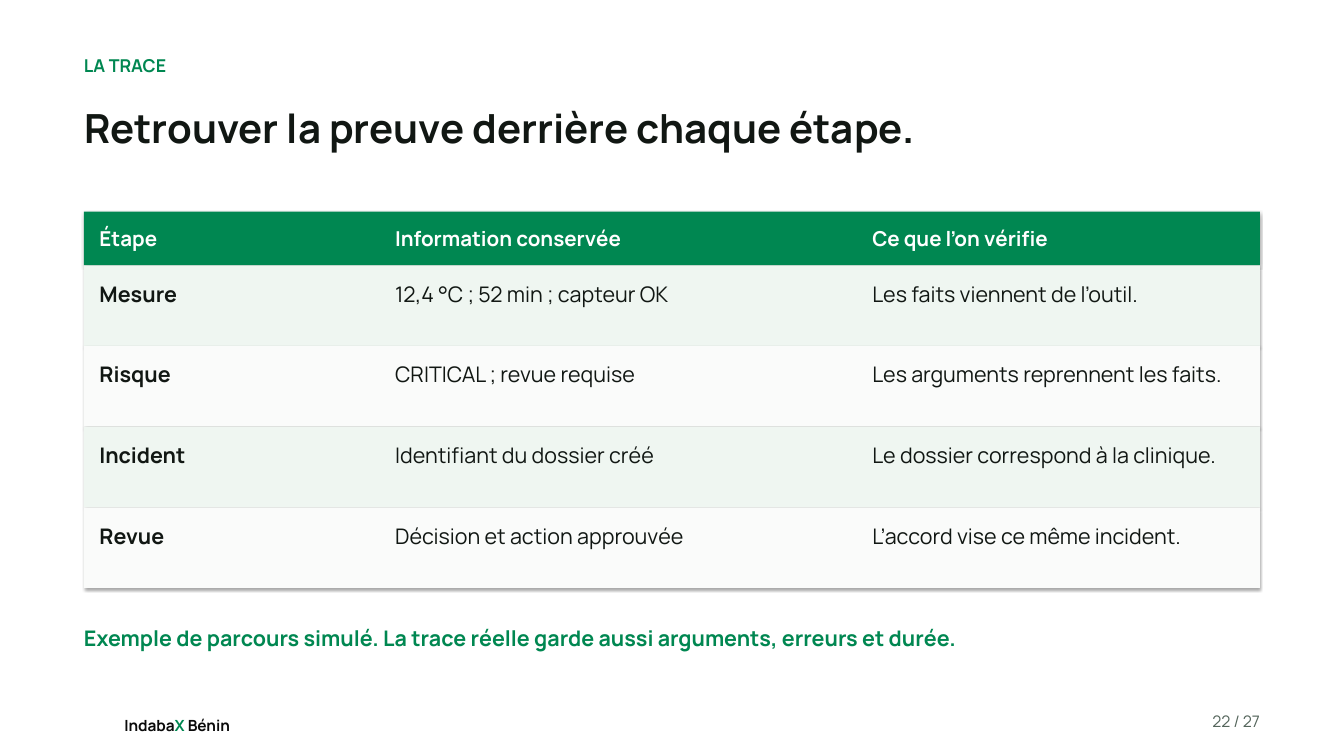
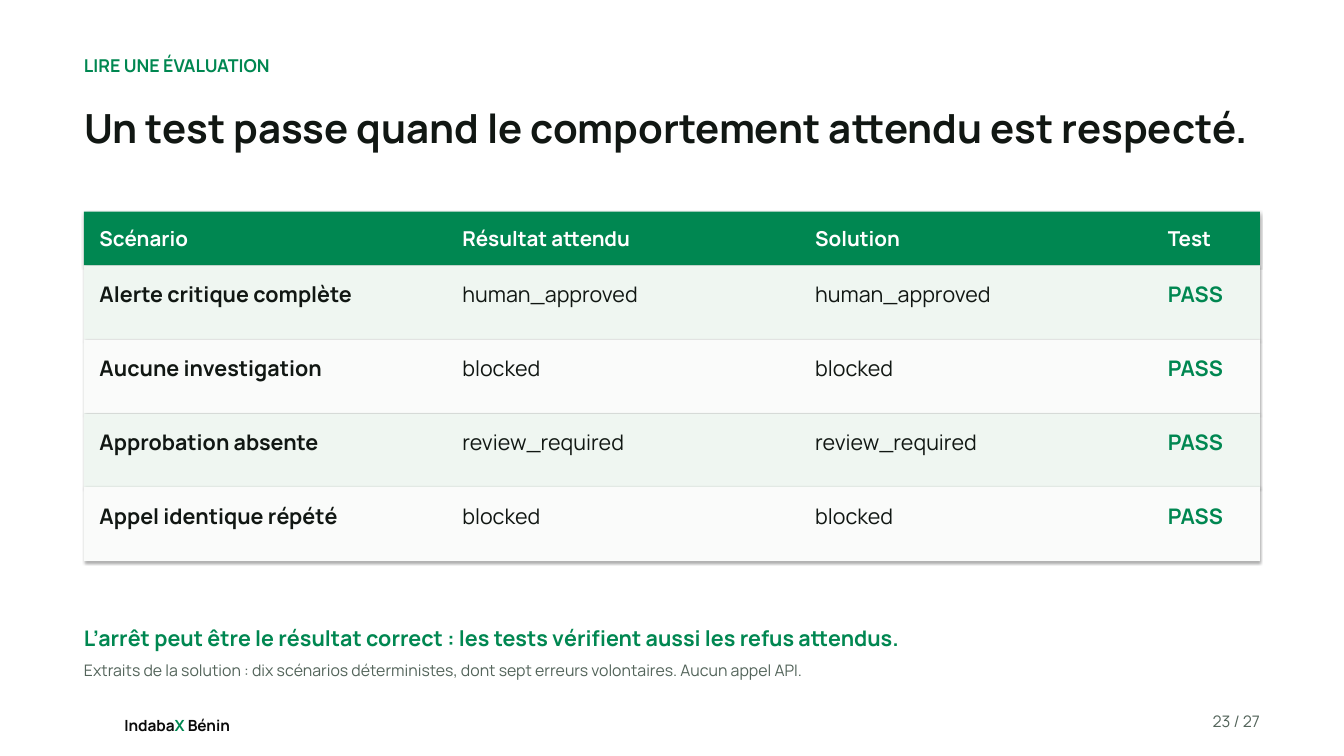
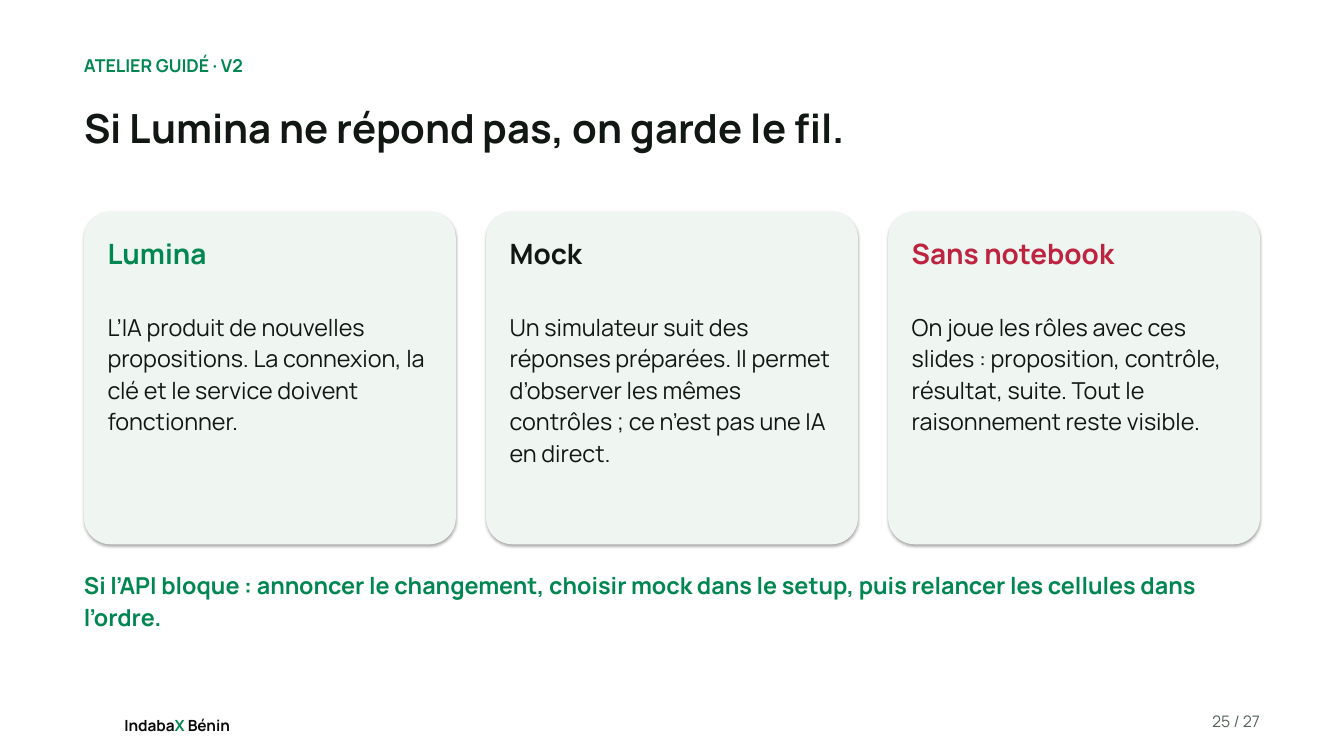
from lxml.etree import SubElement
from pptx import Presentation
from pptx.dml.color import RGBColor
from pptx.enum.shapes import MSO_SHAPE
from pptx.enum.text import MSO_ANCHOR, MSO_AUTO_SIZE, PP_ALIGN
from pptx.oxml import parse_xml
from pptx.oxml.ns import nsdecls, qn
from pptx.util import Inches, Pt

FONT = "Manrope"
GREEN, RED, INK, BLACK = "008751", "BE2440", "111713", "0A0A0A"
GREY, WHITE, MINT, PALE = "53645A", "FFFFFF", "EFF6F1", "FAFBFA"
COLS, ROWS = 80, 45
LEFT, WIDE, TOP = 5, 70, 12.6
HEAD, GAP = 3.2, 1.8


def grid(count):
    """Turn grid cells into a length; the slide is 80 by 45 cells."""
    return Inches(count / 4)


def place(box):
    """Turn a box in grid cells into lengths."""
    return [grid(side) for side in box]


def paint(target, color):
    """Give a fill or a font a solid colour."""
    if hasattr(target, "solid"):
        target.solid()
        target.fore_color.rgb = RGBColor.from_string(color)
    else:
        target.color.rgb = RGBColor.from_string(color)


def write(frame, runs, size, bold=False, align=PP_ALIGN.LEFT, lead=1.13, after=7):
    """Fill a frame with one paragraph of (text, colour) runs."""
    para = frame.paragraphs[0]
    para.alignment, para.line_spacing = align, lead
    para.space_before, para.space_after = Pt(0), Pt(after)
    for text, color in runs:
        run = para.add_run()
        run.text = text
        font = run.font
        font.name, font.size, font.bold = FONT, Pt(size), bold
        paint(font, color)


def strip(frame):
    """Make a frame wrap from its top left corner with no insets."""
    frame.word_wrap, frame.auto_size = True, MSO_AUTO_SIZE.NONE
    frame.vertical_anchor = MSO_ANCHOR.TOP
    frame.margin_left = frame.margin_right = 0
    frame.margin_top = frame.margin_bottom = 0
    return frame


def label(slide, box, runs, size, **style):
    """Add a text box."""
    frame = slide.shapes.add_textbox(*place(box)).text_frame
    write(strip(frame), runs, size, **style)


def panel(slide, kind, box, color):
    """Add a filled shape with a soft shadow below it."""
    shape = slide.shapes.add_shape(kind, *place(box))
    paint(shape.fill, color)
    shape.line.fill.background()
    shape.element.spPr.append(parse_xml(
        f'<a:effectLst {nsdecls("a")}><a:outerShdw blurRad="{Pt(3.1)}" dist="{Pt(1.8)}" '
        'dir="5400000" algn="ctr" rotWithShape="0"><a:srgbClr val="000000">'
        '<a:alpha val="35000"/></a:srgbClr></a:outerShdw></a:effectLst>'))
    return shape


def start(deck, page, tag, title):
    """Add a slide with its backdrop, footer, tag and title."""
    slide = deck.slides.add_slide(deck.slide_layouts[5])
    sheet = panel(slide, MSO_SHAPE.RECTANGLE, (0, 0, COLS, ROWS), WHITE).element
    sheet.getparent().insert(2, sheet)
    label(slide, (7.4, 42.44, 6.92, 1.12),
          [("Indaba", BLACK), ("X", GREEN), (" Bénin", BLACK)],
          16.5, bold=True, lead=Pt(23.1), after=0)
    label(slide, (69.4, 42.2, 5.6, 1.6), [(f"{page} / 27", GREY)], 17,
          align=PP_ALIGN.RIGHT)
    label(slide, (LEFT, 3.12, WIDE, 1.6), [(tag, GREEN)], 19, bold=True)
    head = slide.shapes.title
    head.left, head.top, head.width, head.height = place((LEFT, 5.8, WIDE, 6))
    write(strip(head.text_frame), [(title, INK)], 43, bold=True)
    return slide


def clear(cell):
    """Leave a cell without borders or fill."""
    props = cell._tc.get_or_add_tcPr()
    for side in ("lnL", "lnR", "lnT", "lnB"):
        SubElement(SubElement(props, qn(f"a:{side}"), w="0"), qn("a:noFill"))
    cell.fill.background()


def matrix(slide, widths, rows, tall):
    """Add a table over a green head band and striped row bands."""
    for r in range(len(rows)):
        y = TOP + HEAD + (r - 1) * tall if r else TOP
        band = (MINT if r % 2 else PALE) if r else GREEN
        panel(slide, MSO_SHAPE.RECTANGLE, (LEFT, y, WIDE, tall if r else HEAD), band)
    box = (LEFT, TOP, WIDE, HEAD + tall * (len(rows) - 1))
    table = slide.shapes.add_table(len(rows), len(widths), *place(box)).table
    table.first_row = table.horz_banding = False
    for col, width in zip(table.columns, widths):
        col.width = grid(width)
    for r, row in enumerate(rows):
        table.rows[r].height = grid(tall if r else HEAD)
        for c, text in enumerate(row):
            cell = table.cell(r, c)
            clear(cell)
            cell.margin_left = cell.margin_right = grid(0.92)
            cell.margin_top, cell.margin_bottom = grid(0.6 if r else 0.58), 0
            passed = text == "PASS"
            color = (GREEN if passed else INK) if r else WHITE
            write(cell.text_frame, [(text, color)], 23 if r else 22,
                  bold=not r or not c or passed)


def card(slide, box, title, color, text):
    """Add a rounded card with a title and a text."""
    x, y, w, _ = box
    panel(slide, MSO_SHAPE.ROUNDED_RECTANGLE, box, MINT).adjustments[0] = 0.08
    label(slide, (x + 1.4, y + 1.2, w - 2.8, 4), [(title, color)], 30, bold=True)
    label(slide, (x + 1.4, y + 5.8, w - 2.8, 13.2), [(text, INK)], 25)


def cards(slide, items):
    """Spread cards evenly over the content width."""
    width = (WIDE - GAP * (len(items) - 1)) / len(items)
    for i, item in enumerate(items):
        card(slide, (LEFT + i * (width + GAP), TOP, width, 19.8), *item)


def note(slide, text, top=37, tall=2.4, size=23):
    """Add the green closing line."""
    label(slide, (LEFT, top, WIDE, tall), [(text, GREEN)], size, bold=True)


def trace(deck):
    """Build the slide on the trace."""
    slide = start(deck, 22, "LA TRACE", "Retrouver la preuve derrière chaque étape.")
    matrix(slide, (17.6, 28.4, 24), [
        ("Étape", "Information conservée", "Ce que l’on vérifie"),
        ("Mesure", "12,4 °C ; 52 min ; capteur OK", "Les faits viennent de l’outil."),
        ("Risque", "CRITICAL ; revue requise", "Les arguments reprennent les faits."),
        ("Incident", "Identifiant du dossier créé", "Le dossier correspond à la clinique."),
        ("Revue", "Décision et action approuvée", "L’accord vise ce même incident."),
    ], 4.8)
    note(slide, "Exemple de parcours simulé. La trace réelle garde aussi arguments, "
                "erreurs et durée.")


def tests(deck):
    """Build the slide on reading tests."""
    slide = start(deck, 23, "LIRE UNE ÉVALUATION",
                  "Un test passe quand le comportement attendu est respecté.")
    cases = [("Alerte critique complète", "human_approved"),
             ("Aucune investigation", "blocked"),
             ("Approbation absente", "review_required"),
             ("Appel identique répété", "blocked")]
    rows = [("Scénario", "Résultat attendu", "Solution", "Test")]
    rows += [(case, state, state, "PASS") for case, state in cases]
    matrix(slide, (21.6, 21, 21, 6.4), rows, 4.4)
    note(slide, "L’arrêt peut être le résultat correct : les tests vérifient aussi "
                "les refus attendus.")
    label(slide, (LEFT, 39.2, WIDE, 2.48),
          [("Extraits de la solution : dix scénarios déterministes, dont sept erreurs "
            "volontaires. Aucun appel API.", GREY)], 17)


def backup(deck):
    """Build the slide on the three ways to go on."""
    slide = start(deck, 25, "ATELIER GUIDÉ · V2",
                  "Si Lumina ne répond pas, on garde le fil.")
    cards(slide, [
        ("Lumina", GREEN, "L’IA produit de nouvelles propositions. La connexion, la clé "
                          "et le service doivent fonctionner."),
        ("Mock", INK, "Un simulateur suit des réponses préparées. Il permet d’observer "
                      "les mêmes contrôles ; ce n’est pas une IA en direct."),
        ("Sans notebook", RED, "On joue les rôles avec ces slides : proposition, contrôle, "
                               "résultat, suite. Tout le raisonnement reste visible."),
    ])
    note(slide, "Si l’API bloque : annoncer le changement, choisir mock dans le setup, "
                "puis relancer les cellules dans l’ordre.", 33.8, 4, 25)


def main():
    """Build and save the deck."""
    deck = Presentation()
    deck.slide_width, deck.slide_height = grid(COLS), grid(ROWS)
    paint(deck.slide_master.background.fill, WHITE)
    for build in (trace, tests, backup):
        build(deck)
    deck.save("out.pptx")


if __name__ == "__main__":
    main()
